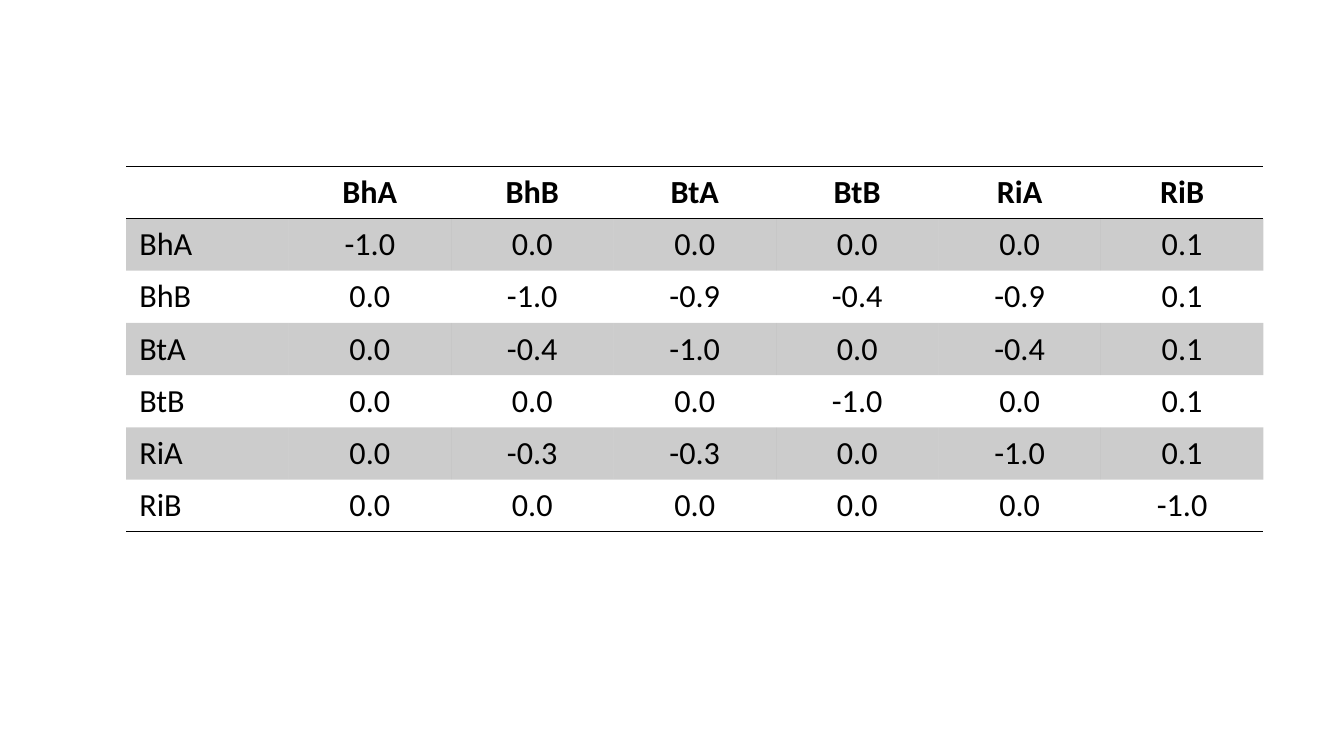
from dataclasses import dataclass
from lxml import etree
from pptx import Presentation
from pptx.dml.color import RGBColor
from pptx.enum import text
from pptx.oxml import ns
from pptx.util import Cm, Pt

HEADER = ("", "BhA", "BhB", "BtA", "BtB", "RiA", "RiB")
ROWS = (
    ("BhA", "-1.0", "0.0", "0.0", "0.0", "0.0", "0.1"),
    ("BhB", "0.0", "-1.0", "-0.9", "-0.4", "-0.9", "0.1"),
    ("BtA", "0.0", "-0.4", "-1.0", "0.0", "-0.4", "0.1"),
    ("BtB", "0.0", "0.0", "0.0", "-1.0", "0.0", "0.1"),
    ("RiA", "0.0", "-0.3", "-0.3", "0.0", "-1.0", "0.1"),
    ("RiB", "0.0", "0.0", "0.0", "0.0", "0.0", "-1.0"),
)
NO_STYLE = "{2D5ABB26-0587-4C30-8999-92F81FD0307C}"


@dataclass(frozen=True)
class Theme:
    font: str = "Calibri"
    size: float = 23
    ink: str = "000000"
    band_alpha: int = 20
    rule: float = 1


THEME = Theme()


def add_border(cell, side):
    ln = etree.Element(ns.qn(f"a:ln{side}"), w=str(Pt(THEME.rule)))
    fill = etree.SubElement(ln, ns.qn("a:solidFill"))
    etree.SubElement(fill, ns.qn("a:srgbClr"), val=THEME.ink)
    cell._tc.get_or_add_tcPr().insert(0, ln)


def fill_band(cell):
    cell.fill.solid()
    cell.fill.fore_color.rgb = RGBColor.from_string(THEME.ink)
    color = next(cell._tc.tcPr.iter(ns.qn("a:srgbClr")))
    etree.SubElement(color, ns.qn("a:alpha"), val=str(THEME.band_alpha * 1000))


def write_cell(cell, value, bold, centred):
    cell.margin_left = cell.margin_right = Cm(0.33)
    cell.margin_top = cell.margin_bottom = Cm(0.16)
    p = cell.text_frame.paragraphs[0]
    p.text = value
    p.alignment = text.PP_ALIGN.CENTER if centred else text.PP_ALIGN.LEFT
    p.font.name = THEME.font
    p.font.size = Pt(THEME.size)
    p.font.bold = bold
    p.font.color.rgb = RGBColor.from_string(THEME.ink)


def add_matrix(slide):
    grid = (HEADER,) + ROWS
    frame = slide.shapes.add_table(len(grid), len(HEADER), Cm(3.18), Cm(4.19),
                                   Cm(28.66), Cm(1.31) * len(grid))
    table = frame.table
    table.first_row = table.horz_banding = False
    next(frame.element.iter(ns.qn("a:tableStyleId"))).text = NO_STYLE
    last = len(grid) - 1
    for i, row in enumerate(grid):
        for j, value in enumerate(row):
            cell = table.cell(i, j)
            write_cell(cell, value, bold=i == 0, centred=j > 0)
            if i % 2:
                fill_band(cell)
            else:
                cell.fill.background()
            if i in (0, last):
                add_border(cell, "B")
            if i == 0:
                add_border(cell, "T")


def main():
    prs = Presentation()
    prs.slide_width, prs.slide_height = Cm(33.87), Cm(19.05)
    add_matrix(prs.slides.add_slide(prs.slide_layouts[6]))
    prs.save("out.pptx")


if __name__ == "__main__":
    main()
